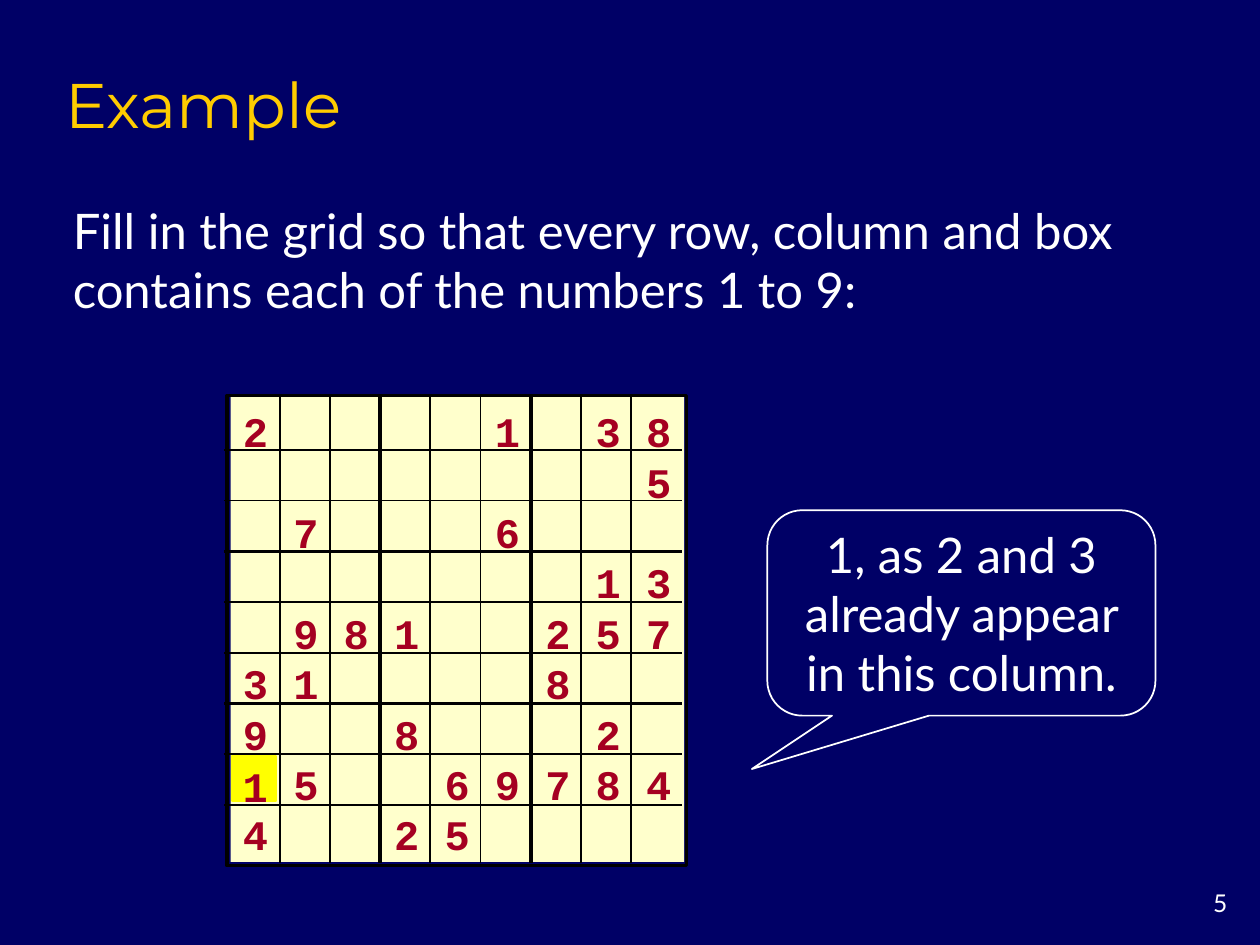
"""Build a slide that explains one step of a number grid puzzle."""
from lxml import etree
from pptx import Presentation
from pptx.dml.color import RGBColor
from pptx.enum.shapes import MSO_CONNECTOR, MSO_SHAPE
from pptx.enum.text import MSO_ANCHOR, PP_ALIGN
from pptx.oxml.ns import qn
from pptx.util import Inches, Pt

LEFT, CENTER, RIGHT = PP_ALIGN.LEFT, PP_ALIGN.CENTER, PP_ALIGN.RIGHT
TOP, MIDDLE, BOTTOM = MSO_ANCHOR.TOP, MSO_ANCHOR.MIDDLE, MSO_ANCHOR.BOTTOM
RECTANGLE = MSO_SHAPE.RECTANGLE
CALLOUT = MSO_SHAPE.ROUNDED_RECTANGULAR_CALLOUT
STRAIGHT = MSO_CONNECTOR.STRAIGHT

NAVY = RGBColor(0x00, 0x00, 0x66)
GOLD = RGBColor(0xFF, 0xCC, 0x00)
WHITE = RGBColor(0xFF, 0xFF, 0xFF)
CREAM = RGBColor(0xFF, 0xFF, 0xCC)
CRIMSON = RGBColor(0xA5, 0x00, 0x21)
YELLOW = RGBColor(0xFF, 0xFF, 0x00)
BLACK = RGBColor(0x00, 0x00, 0x00)

TITLE = "Example"
TASK = ("Fill in the grid so that every row, column and box "
        "contains each of the numbers 1 to 9:")
REASON = "1, as 2 and 3 already appear in this column."
ANSWER = "1"
PAGE = "5"
PUZZLE = [
    "2....1.38",
    "........5",
    ".7...6...",
    ".......13",
    ".981..257",
    "31....8..",
    "9..8...2.",
    ".5..69784",
    "4..25....",
]

TITLE_STYLE = ("Montserrat", 36, GOLD, False)
BODY_STYLE = ("Lato", 28, WHITE, False)
DIGIT_STYLE = ("Courier New", 24, CRIMSON, True)
PAGE_STYLE = ("Lato", 14, WHITE, False)

CELL = 0.4
ROW_LINES = (3.57, 6.39)
COLUMN_LINES = (2.22, 5.01)
ROW_SPAN = (1.78, 5.41)
COLUMN_SPAN = (3.15, 6.85)


def style(paragraph, font_style, alignment=LEFT):
    paragraph.alignment = alignment
    font = paragraph.font
    font.name, size, font.color.rgb, font.bold = font_style
    font.size = Pt(size)


def write(shape, text, font_style, alignment=LEFT, anchor=TOP):
    frame = shape.text_frame
    frame.word_wrap = True
    frame.vertical_anchor = anchor
    frame.text = text
    style(frame.paragraphs[0], font_style, alignment)


def add_text(slide, box, *text_options):
    shape = slide.shapes.add_textbox(*map(Inches, box))
    write(shape, *text_options)


def add_shape(slide, kind, box, fill=None, line=None, width=1):
    shape = slide.shapes.add_shape(kind, *map(Inches, box))
    shape.shadow.inherit = False
    if fill is None:
        shape.fill.background()
    else:
        shape.fill.solid()
        shape.fill.fore_color.rgb = fill
    if line is None:
        shape.line.fill.background()
    else:
        shape.line.color.rgb = line
        shape.line.width = Pt(width)
    return shape


def add_line(slide, ends, width):
    line = slide.shapes.add_connector(STRAIGHT, *map(Inches, ends))
    line.line.color.rgb = BLACK
    line.line.width = Pt(width)
    etree.SubElement(line._element.spPr, qn("a:effectLst"))


def write_puzzle(shape):
    frame = shape.text_frame
    frame.word_wrap = False
    frame.vertical_anchor = TOP
    frame.margin_top = Inches(0.08)
    frame.text = "\n".join(
        "\t".join(row.rstrip(".")).replace(".", "") for row in PUZZLE)
    for paragraph in frame.paragraphs:
        paragraph.line_spacing = Pt(28.8)
        properties = paragraph._p.get_or_add_pPr()
        stops = etree.SubElement(properties, qn("a:tabLst"))
        for column in range(1, len(PUZZLE)):
            etree.SubElement(stops, qn("a:tab"),
                             pos=str(Inches(CELL * column)), algn="l")
        style(paragraph, DIGIT_STYLE)


def add_grid_lines(slide):
    count = len(PUZZLE) - 1
    for index in range(count):
        width = 2 if index % 3 == 2 else 1
        y, x = (first + (last - first) * index / (count - 1)
                for first, last in (ROW_LINES, COLUMN_LINES))
        add_line(slide, (ROW_SPAN[0], y, ROW_SPAN[1], y), width)
        add_line(slide, (x, COLUMN_SPAN[0], x, COLUMN_SPAN[1]), width)


def main():
    presentation = Presentation()
    presentation.slide_width = Inches(10)
    presentation.slide_height = Inches(7.5)
    slide = presentation.slides.add_slide(presentation.slide_layouts[6])
    slide.background.fill.solid()
    slide.background.fill.fore_color.rgb = NAVY

    add_text(slide, (0.42, 0.42, 8.5, 0.75), TITLE, TITLE_STYLE, LEFT, BOTTOM)
    add_text(slide, (0.48, 1.54, 8.77, 1.04), TASK, BODY_STYLE, LEFT, MIDDLE)

    write_puzzle(add_shape(slide, RECTANGLE, (1.83, 3.14, 3.6, 3.7), CREAM))
    add_shape(slide, RECTANGLE, (1.8, 3.14, 3.65, 3.73), line=BLACK, width=2)
    add_grid_lines(slide)

    callout = add_shape(slide, CALLOUT, (6.09, 4.05, 3.08, 1.63), line=WHITE)
    for index, value in enumerate((-0.54, 0.76, 0.17)):
        callout.adjustments[index] = value
    write(callout, REASON, BODY_STYLE, CENTER, MIDDLE)

    add_shape(slide, RECTANGLE, (1.84, 6, 0.35, 0.36), YELLOW, YELLOW)
    add_text(slide, (1.82, 5.99, 0.41, 0.45), ANSWER, DIGIT_STYLE, CENTER)
    add_text(slide, (9.17, 7, 0.67, 0.33), PAGE, PAGE_STYLE, RIGHT)

    presentation.save("out.pptx")


if __name__ == "__main__":
    main()
